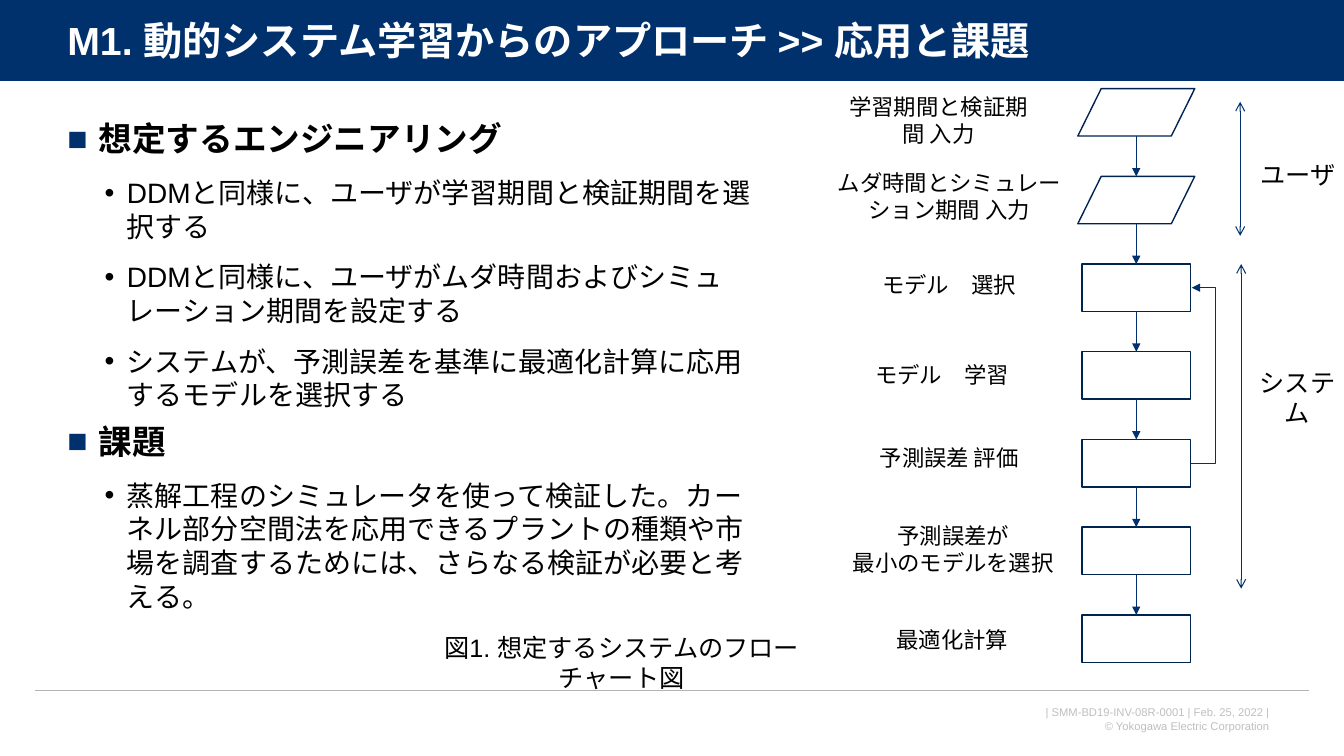
from dataclasses import dataclass

from lxml import etree
from pptx import Presentation
from pptx.dml.color import RGBColor
from pptx.enum.shapes import MSO_CONNECTOR, MSO_SHAPE
from pptx.enum.text import MSO_ANCHOR, PP_ALIGN
from pptx.oxml.ns import qn
from pptx.util import Inches, Pt

RECTANGLE = MSO_SHAPE.RECTANGLE
DATA_BOX = MSO_SHAPE.FLOWCHART_DATA
PROCESS_BOX = MSO_SHAPE.FLOWCHART_PROCESS
STRAIGHT, ELBOW = MSO_CONNECTOR.STRAIGHT, MSO_CONNECTOR.ELBOW
LEFT, CENTER, RIGHT = PP_ALIGN.LEFT, PP_ALIGN.CENTER, PP_ALIGN.RIGHT
TOP, MIDDLE = MSO_ANCHOR.TOP, MSO_ANCHOR.MIDDLE
SIDE_TOP, SIDE_BOTTOM = 0, 2


@dataclass(frozen=True)
class Theme:
    font: str = "Arial"
    navy: str = "00316C"
    outline: str = "002450"
    white: str = "FFFFFF"
    black: str = "000000"
    rule: str = "B2B2B2"
    footer: str = "BFBFBF"
    title_size: float = 28
    heading_size: float = 24
    body_size: float = 20
    caption_size: float = 18
    label_size: float = 16
    footer_size: float = 8


THEME = Theme()

# Heading, then its points
SECTIONS = [
    ("想定するエンジニアリング", [
        "DDMと同様に、ユーザが学習期間と検証期間を選択する",
        "DDMと同様に、ユーザがムダ時間およびシミュレーション期間を設定する",
        "システムが、予測誤差を基準に最適化計算に応用するモデルを選択する",
    ]),
    ("課題", [
        "蒸解工程のシミュレータを使って検証した。カーネル部分空間法を応用できる"
        "プラントの種類や市場を調査するためには、さらなる検証が必要と考える。",
    ]),
]

# Step label, its left, top and width within the flow chart, and the step's shape
STEPS = [
    ("学習期間と検証期間 入力", 0.11, 0, 2.18, DATA_BOX),
    ("ムダ時間とシミュレーション期間 入力", 0.07, 0.75, 2.47, DATA_BOX),
    ("モデル　選択", 0.07, 1.76, 2.47, PROCESS_BOX),
    ("モデル　学習", 0, 2.65, 2.47, PROCESS_BOX),
    ("予測誤差 評価", 0.07, 3.48, 2.47, PROCESS_BOX),
    ("予測誤差が\n最小のモデルを選択", 0.11, 4.25, 2.47, PROCESS_BOX),
    ("最適化計算", 0.1, 5.28, 2.47, PROCESS_BOX),
]

# Actor, label box, and the x, top and bottom of its span
ACTORS = [
    ("ユーザ", (12.39, 1.53, 0.97, 0.4), (12.3, 1.01, 2.34)),
    ("システム", (12.34, 3.59, 1.05, 0.4), (12.31, 2.62, 5.84)),
]


def format_runs(paragraph, size, color, bold=False):
    for run in paragraph.runs:
        run.font.name = THEME.font
        run.font.size = Pt(size)
        run.font.bold = bold
        run.font.color.rgb = RGBColor.from_string(color)


def add_text(slide, box, text, size, color=THEME.black, align=CENTER, bold=False, anchor=TOP):
    frame = slide.shapes.add_textbox(*map(Inches, box)).text_frame
    frame.word_wrap = True
    frame.vertical_anchor = anchor
    frame.text = text
    for paragraph in frame.paragraphs:
        paragraph.alignment = align
        format_runs(paragraph, size, color, bold)
    return frame


def add_box(slide, preset, box, fill, line=None):
    shape = slide.shapes.add_shape(preset, *map(Inches, box))
    shape.shadow.inherit = False
    shape.fill.solid()
    shape.fill.fore_color.rgb = RGBColor.from_string(fill)
    if line:
        shape.line.color.rgb = RGBColor.from_string(line)
        shape.line.width = Pt(1)
    else:
        shape.line.fill.background()
    return shape


def add_line(slide, start, end, color, width, head=None, tail=None, kind=STRAIGHT):
    line = slide.shapes.add_connector(kind, *map(Inches, (*start, *end)))
    line.line.color.rgb = RGBColor.from_string(color)
    line.line.width = Pt(width)
    outline = line.line._get_or_add_ln()
    for tag, arrow in (("a:headEnd", head), ("a:tailEnd", tail)):
        if arrow:
            etree.SubElement(outline, qn(tag)).set("type", arrow)
    etree.SubElement(line._element.spPr, qn("a:effectLst"))
    return line


def set_bullet(paragraph, char, margin, hanging, color=None):
    properties = paragraph._p.get_or_add_pPr()
    properties.set("marL", str(Inches(margin)))
    properties.set("indent", str(-Inches(hanging)))
    if color:
        bullet_color = etree.SubElement(properties, qn("a:buClr"))
        etree.SubElement(bullet_color, qn("a:srgbClr")).set("val", color)
    etree.SubElement(properties, qn("a:buFont")).set("typeface", THEME.font)
    etree.SubElement(properties, qn("a:buChar")).set("char", char)


def build_frame(slide, width):
    # Footer, title band and rules
    add_text(slide, (9.48, 6.95, 3.21, 0.37),
             "| SMM-BD19-INV-08R-0001 | Feb. 25, 2022 |\n© Yokogawa Electric Corporation",
             THEME.footer_size, THEME.footer, RIGHT)
    band_height = 0.81
    add_box(slide, RECTANGLE, (0, 0, width, band_height), THEME.navy)
    add_line(slide, (0, band_height), (width, band_height), THEME.white, 0.75)
    add_line(slide, (0.35, 6.85), (width - 0.35, 6.85), THEME.rule, 1)
    title = add_text(slide, (0.57, 0.14, 12.47, 0.57),
                     "M1. 動的システム学習からのアプローチ >> 応用と課題",
                     THEME.title_size, THEME.white, LEFT, True, MIDDLE)
    title.paragraphs[0].line_spacing = 0.9


def build_body(slide, box):
    frame = slide.shapes.add_textbox(*map(Inches, box)).text_frame
    frame.word_wrap = True
    for number, (heading, points) in enumerate(SECTIONS):
        # Section heading
        paragraph = frame.add_paragraph() if number else frame.paragraphs[0]
        paragraph.text = heading
        set_bullet(paragraph, "■", 0.31, 0.31, THEME.navy)
        paragraph.line_spacing = 0.9
        if number:
            paragraph.space_before = Pt(10)
        format_runs(paragraph, THEME.heading_size, THEME.black, True)
        # Points under the heading
        for point in points:
            paragraph = frame.add_paragraph()
            paragraph.text = point
            paragraph.level = 1
            set_bullet(paragraph, "•", 0.59, 0.22)
            paragraph.space_before = Pt(12)
            format_runs(paragraph, THEME.body_size, THEME.black)


def build_flow_chart(slide, left, top):
    center, pitch, height = left + 3.16, 0.87, 0.47
    widths = {DATA_BOX: 1.16, PROCESS_BOX: 1.08}

    # Steps and their labels
    boxes = []
    for row, (label, label_left, label_top, label_width, preset) in enumerate(STEPS):
        width = widths[preset]
        boxes.append(add_box(slide, preset, (center - width / 2, top + row * pitch, width, height),
                             THEME.white, THEME.outline))
        add_text(slide, (left + label_left, top + label_top, label_width, 0.37),
                 label, THEME.label_size)

    # Arrows from step to step
    for row in range(len(STEPS) - 1):
        arrow = add_line(slide, (center, top + row * pitch + height),
                         (center, top + (row + 1) * pitch), THEME.navy, 0.5, tail="triangle")
        if STEPS[row][-1] == PROCESS_BOX:
            arrow.begin_connect(boxes[row], SIDE_BOTTOM)
        if STEPS[row + 1][-1] == PROCESS_BOX:
            arrow.end_connect(boxes[row + 1], SIDE_TOP)

    # Loop from error evaluation back to model selection
    side = center + widths[PROCESS_BOX] / 2
    selection, evaluation = (top + row * pitch + height / 2 for row in (2, 4))
    reach, gap = 0.25, 0.01
    loop = add_line(slide, (side, evaluation), (side + gap, selection), THEME.navy, 0.5,
                    tail="triangle", kind=ELBOW)
    adjustments = loop._element.spPr.find(qn("a:prstGeom")).get_or_add_avLst()
    guide = etree.SubElement(adjustments, qn("a:gd"))
    guide.set("name", "adj1")
    guide.set("fmla", f"val {round(reach / gap * 100000)}")


def build_actors(slide):
    for actor, box, (x, top, bottom) in ACTORS:
        add_line(slide, (x, top), (x, bottom), THEME.navy, 0.75, "arrow", "arrow")
        add_text(slide, box, actor, THEME.caption_size)


def main():
    deck = Presentation()
    deck.slide_width, deck.slide_height = Inches(13.33), Inches(7.5)
    slide = deck.slides.add_slide(deck.slide_layouts[6])
    build_frame(slide, 13.33)
    build_body(slide, (0.57, 1.17, 7.16, 5.45))
    build_flow_chart(slide, 8.11, 0.88)
    add_text(slide, (3.95, 6.22, 4.43, 0.4), "図1. 想定するシステムのフローチャート図",
             THEME.caption_size)
    build_actors(slide)
    deck.save("out.pptx")


if __name__ == "__main__":
    main()
